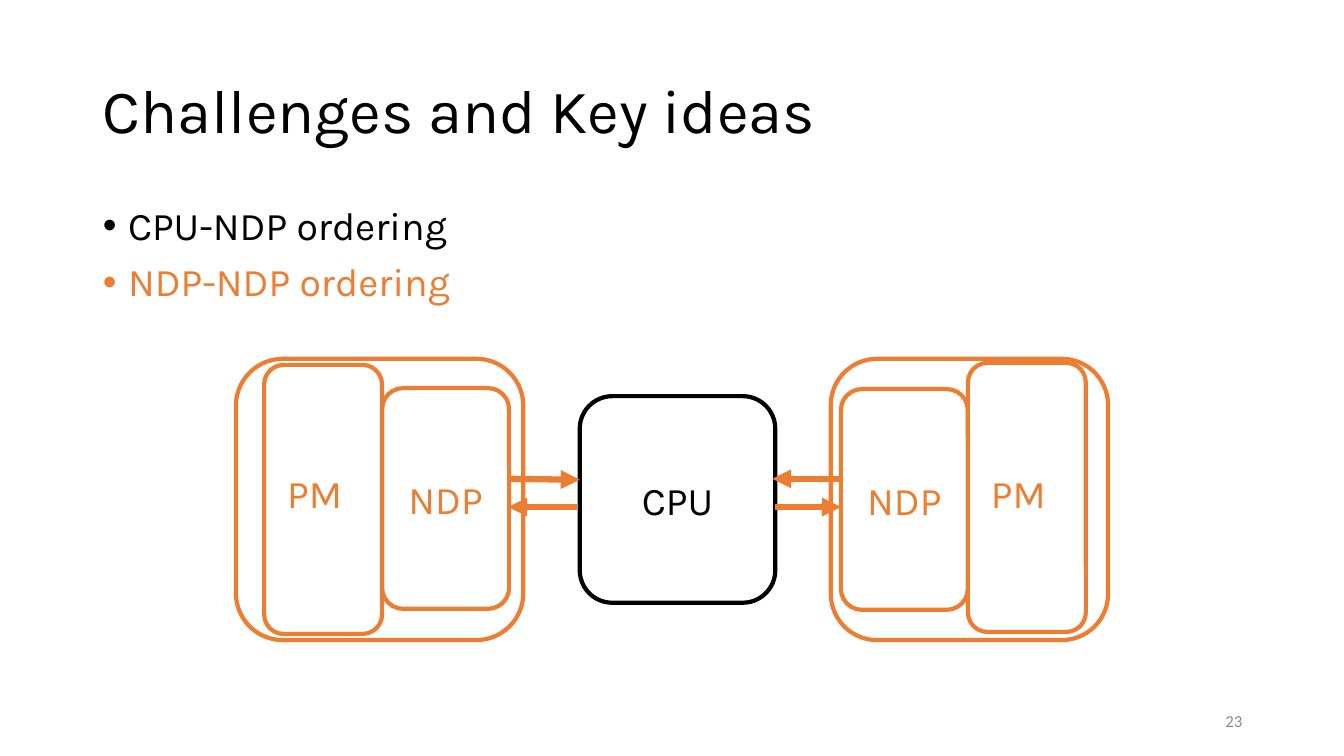
from lxml.etree import SubElement
from pptx import Presentation
from pptx.dml.color import RGBColor
from pptx.enum.shapes import MSO_CONNECTOR, MSO_SHAPE
from pptx.enum.text import MSO_ANCHOR, MSO_AUTO_SIZE, PP_ALIGN
from pptx.oxml.ns import qn
from pptx.util import Emu, Pt

BLACK = RGBColor(0x00, 0x00, 0x00)
WHITE = RGBColor(0xFF, 0xFF, 0xFF)
ORANGE = RGBColor(0xED, 0x7D, 0x31)
GRAY = RGBColor(0x8C, 0x8C, 0x8C)


def px(length):
    return Emu(length * 9144)


class SlideBuilder:
    font_name = "Karla"
    text_size = 28
    outline_width = Pt(3)
    arrow_width = Pt(4.5)

    def __init__(self, slide):
        self.slide = slide

    def format_paragraph(self, paragraph, color, size=text_size, name=font_name,
                         align=PP_ALIGN.LEFT):
        paragraph.alignment = align
        paragraph.font.name = name
        paragraph.font.size = Pt(size)
        paragraph.font.color.rgb = color

    def place(self, shape, left, top, width, height):
        shape.left, shape.top = px(left), px(top)
        shape.width, shape.height = px(width), px(height)

    def title(self, text, *bounds):
        shape = self.slide.shapes.title
        self.place(shape, *bounds)
        frame = shape.text_frame
        frame.text = text
        frame.auto_size = MSO_AUTO_SIZE.NONE
        frame.vertical_anchor = MSO_ANCHOR.MIDDLE
        paragraph = frame.paragraphs[0]
        paragraph.line_spacing = 0.9
        self.format_paragraph(paragraph, BLACK, 44)

    def bullets(self, items, *bounds):
        shape = self.slide.placeholders[1]
        self.place(shape, *bounds)
        frame = shape.text_frame
        frame.text = "\n".join(text for text, color in items)
        frame.auto_size = MSO_AUTO_SIZE.NONE
        for index, (paragraph, (text, color)) in enumerate(zip(frame.paragraphs, items)):
            properties = paragraph._p.get_or_add_pPr()
            properties.set("marL", str(px(25)))
            properties.set("indent", str(px(-25)))
            SubElement(properties, qn("a:buFont"), typeface="Arial")
            SubElement(properties, qn("a:buChar"), char="•")
            paragraph.line_spacing = 0.9
            paragraph.space_before = Pt(10 if index else 0)
            self.format_paragraph(paragraph, color)

    def label(self, text, color, *bounds, anchor=MSO_ANCHOR.TOP, **style):
        shape = self.slide.shapes.add_textbox(*map(px, bounds))
        frame = shape.text_frame
        frame.word_wrap = True
        frame.vertical_anchor = anchor
        frame.text = text
        self.format_paragraph(frame.paragraphs[0], color, **style)

    def box(self, color, *bounds, text=None):
        shape = self.slide.shapes.add_shape(MSO_SHAPE.ROUNDED_RECTANGLE, *map(px, bounds))
        shape.shadow.inherit = False
        shape.line.color.rgb = color
        shape.line.width = self.outline_width
        if text is None:
            shape.fill.background()
            return
        shape.fill.solid()
        shape.fill.fore_color.rgb = WHITE
        frame = shape.text_frame
        frame.text = text
        frame.vertical_anchor = MSO_ANCHOR.MIDDLE
        self.format_paragraph(frame.paragraphs[0], color, align=PP_ALIGN.CENTER)

    def arrow(self, start_x, start_y, end_x, end_y):
        connector = self.slide.shapes.add_connector(
            MSO_CONNECTOR.STRAIGHT, px(start_x), px(start_y), px(end_x), px(end_y))
        connector.line.color.rgb = ORANGE
        connector.line.width = self.arrow_width
        SubElement(connector.line._get_or_add_ln(), qn("a:tailEnd"), type="triangle")
        SubElement(connector._element.spPr, qn("a:effectLst"))

    def memory_module(self, left, width, ndp_left, ndp_top, pm_left, pm_top):
        self.box(ORANGE, left, 356, width, 279)
        self.box(ORANGE, ndp_left, ndp_top, 126, 219, text="NDP")
        self.label("PM", ORANGE, pm_left + 13, 461, 90, 57)
        self.box(ORANGE, pm_left, pm_top, 117, 267)


def main():
    presentation = Presentation()
    presentation.slide_width, presentation.slide_height = px(1333), px(750)
    slide = presentation.slides.add_slide(presentation.slide_layouts[1])
    builder = SlideBuilder(slide)

    builder.title("Challenges and Key ideas", 92, 40, 1150, 145)
    builder.bullets([("CPU-NDP ordering", BLACK), ("NDP-NDP ordering", ORANGE)],
                    92, 200, 1150, 476)
    builder.label("23", GRAY, 942, 695, 300, 40, anchor=MSO_ANCHOR.MIDDLE,
                  size=12, name="Calibri", align=PP_ALIGN.RIGHT)

    builder.memory_module(234, 285, 379, 385, 262, 362)
    builder.memory_module(824, 275, 834, 386, 960, 360)
    builder.box(BLACK, 575, 393, 194, 205, text="CPU")

    builder.arrow(504, 475, 575, 476)
    builder.arrow(572, 503, 504, 503)
    builder.arrow(834, 475, 766, 475)
    builder.arrow(769, 503, 834, 503)

    presentation.save("out.pptx")


if __name__ == "__main__":
    main()
